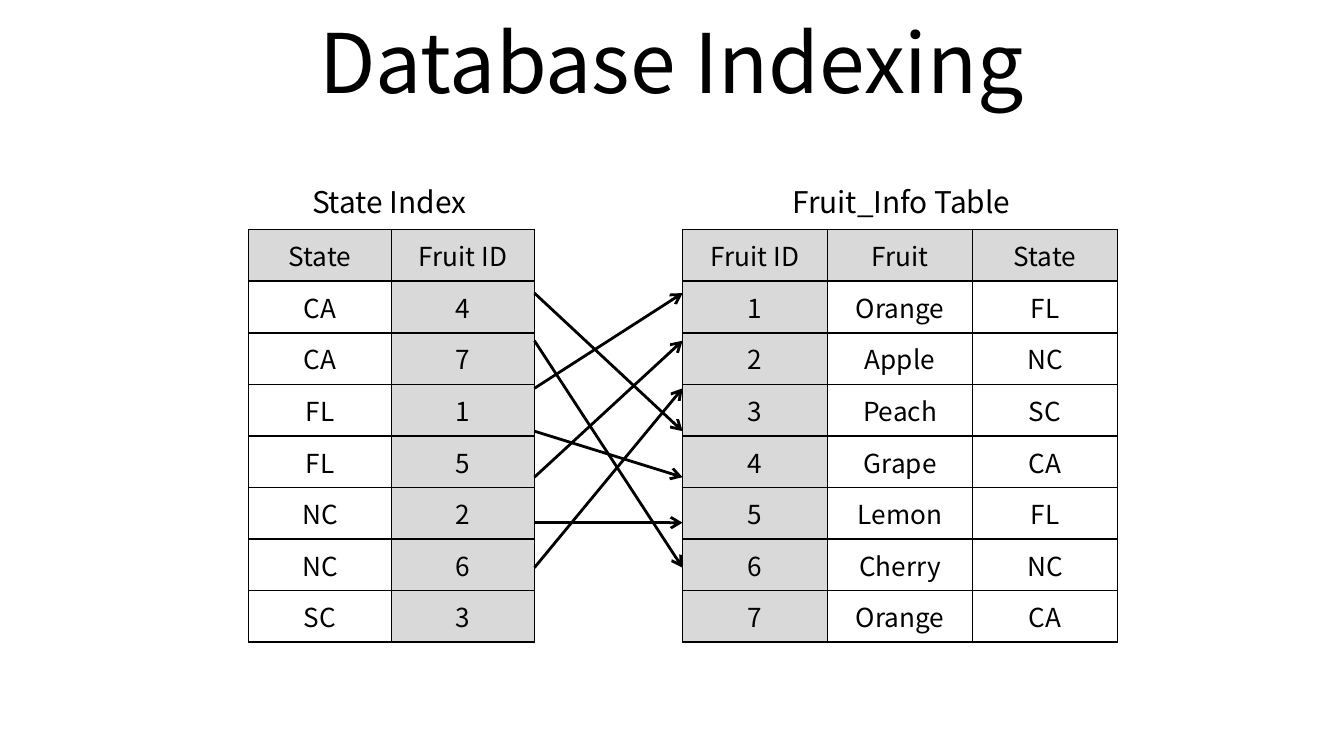
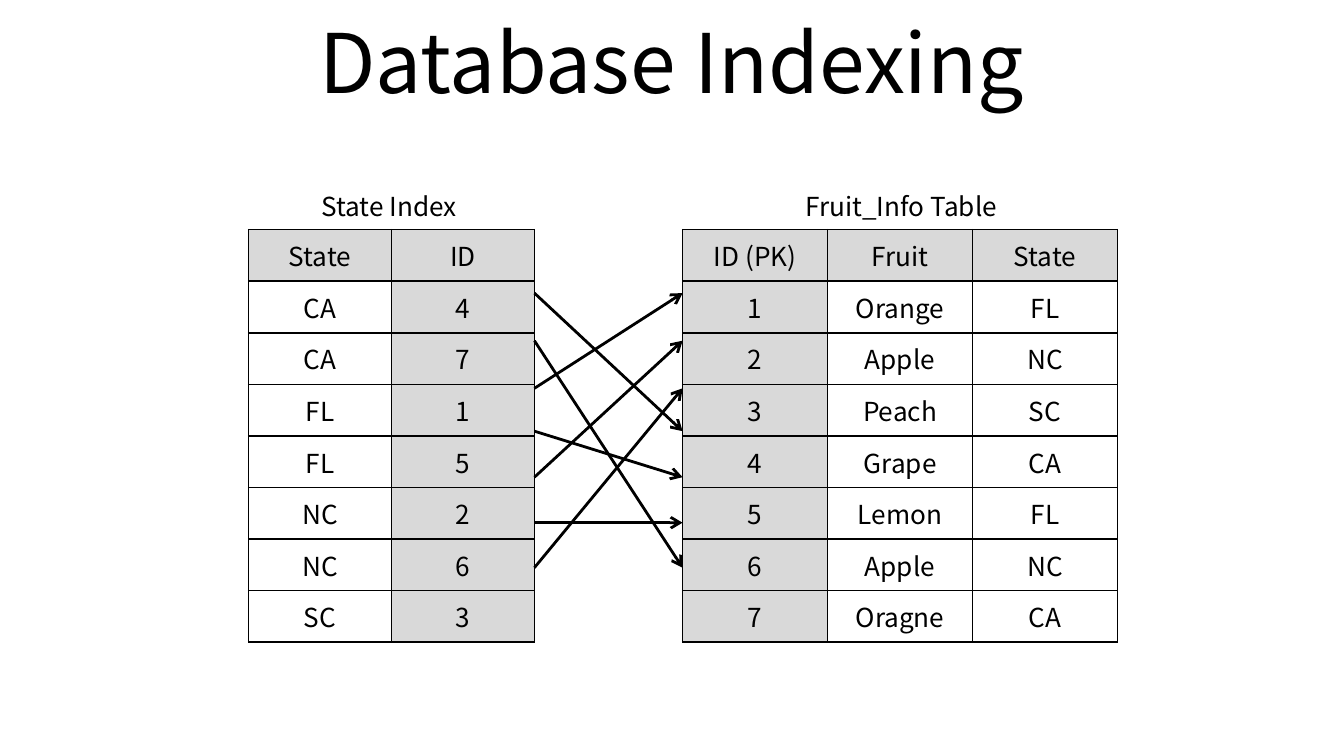
"""Builds two slides on database indexing, with an index pointing into a table."""
import pptx
import pptx.dml.color
import pptx.enum.shapes
import pptx.enum.text
import pptx.oxml
import pptx.oxml.ns
import pptx.util
from lxml import etree

Cm = pptx.util.Cm
Pt = pptx.util.Pt
FONT = "Noto Sans CJK KR"
INK = {"text": "000000", "key": "D9D9D9", "page": "FFFFFF"}

TOP = 4.34
LEFT, RIGHT = 4.7, 12.9
INDEX_COL, FRUIT_COL = 2.7, 2.74
STOPS = [5.54, 6.44, 7.34, 8.15, 9.02, 9.88, 10.73]

INDEX = [("CA", 4), ("CA", 7), ("FL", 1), ("FL", 5), ("NC", 2), ("NC", 6), ("SC", 3)]
STATES = ["FL", "NC", "SC", "CA", "FL", "NC", "CA"]
FRUITS = ["Orange", "Apple", "Peach", "Grape", "Lemon"]
PAGES = [
    ("Fruit ID", "Fruit ID", FRUITS + ["Cherry", "Orange"], 16, 3.35),
    ("ID", "ID (PK)", FRUITS + ["Apple", "Oragne"], 14, 3.48),
]


def color(name):
    return pptx.dml.color.RGBColor.from_string(INK[name])


class Deck:
    def __init__(self):
        self.prs = pptx.Presentation()
        self.prs.slide_width = Cm(25.4)
        self.prs.slide_height = Cm(14.29)
        self.slide = None

    def put(self, frame, text, size):
        frame.text = text
        para = frame.paragraphs[0]
        para.alignment = pptx.enum.text.PP_ALIGN.CENTER
        para.font.name = FONT
        para.font.size = Pt(size)
        para.font.color.rgb = color("text")

    def page(self, title):
        self.slide = self.prs.slides.add_slide(self.prs.slide_layouts[5])
        back = self.slide.background.fill
        back.solid()
        back.fore_color.rgb = color("page")
        head = self.slide.shapes.title
        head.left, head.top = Cm(1.27), Cm(-0.05)
        head.width, head.height = Cm(22.86), Cm(2.39)
        head.text_frame.vertical_anchor = pptx.enum.text.MSO_ANCHOR.MIDDLE
        self.put(head.text_frame, title, 44)

    def label(self, text, left, top, width, size):
        box = self.slide.shapes.add_textbox(Cm(left), Cm(top), Cm(width), Cm(0.9))
        box.text_frame.word_wrap = True
        box.text_frame.auto_size = pptx.enum.text.MSO_AUTO_SIZE.SHAPE_TO_FIT_TEXT
        self.put(box.text_frame, text, size)

    def border(self, cell):
        props = cell._tc.get_or_add_tcPr()
        for side in ("lnL", "lnR", "lnT", "lnB"):
            line = etree.SubElement(props, pptx.oxml.ns.qn("a:" + side), w=str(Pt(1)))
            fill = etree.SubElement(line, pptx.oxml.ns.qn("a:solidFill"))
            etree.SubElement(fill, pptx.oxml.ns.qn("a:srgbClr"), val=INK["text"])

    def table(self, rows, left, width, key):
        count = len(rows[0])
        frame = self.slide.shapes.add_table(
            len(rows), count, Cm(left), Cm(TOP), Cm(width * count), Cm(6.78))
        grid = frame.table
        grid.first_row = grid.horz_banding = False
        for row in grid.rows:
            row.height = Cm(0.64)
        frame.height = Cm(6.78)
        for r, row in enumerate(rows):
            for c, value in enumerate(row):
                cell = grid.cell(r, c)
                self.put(cell.text_frame, str(value), 14)
                self.border(cell)
                if r == 0 or c == key:
                    cell.fill.solid()
                    cell.fill.fore_color.rgb = color("key")
                else:
                    cell.fill.background()

    def arrow(self, start, end):
        line = self.slide.shapes.add_connector(
            pptx.enum.shapes.MSO_CONNECTOR.STRAIGHT,
            Cm(LEFT + 2 * INDEX_COL), Cm(start), Cm(RIGHT), Cm(end))
        line.line.width = Pt(1.5)
        line.line.color.rgb = color("text")
        props = line._element.spPr
        etree.SubElement(props.find(pptx.oxml.ns.qn("a:ln")),
                         pptx.oxml.ns.qn("a:tailEnd"), type="arrow")
        etree.SubElement(props, pptx.oxml.ns.qn("a:effectLst"))


def main():
    deck = Deck()
    for index_id, fruit_id, fruits, size, top in PAGES:
        deck.page("Database Indexing")
        deck.table([("State", index_id)] + INDEX, LEFT, INDEX_COL, 1)
        info = list(zip(range(1, 8), fruits, STATES))
        deck.table([(fruit_id, "Fruit", "State")] + info, RIGHT, FRUIT_COL, 0)
        for start, (state, target) in zip(STOPS, INDEX):
            deck.arrow(start, STOPS[target - 1])
        deck.label("State Index", 5.41, top, 3.89, size)
        deck.label("Fruit_Info Table", 14.38, top, 5.31, size)
    deck.prs.save("out.pptx")


if __name__ == "__main__":
    main()
